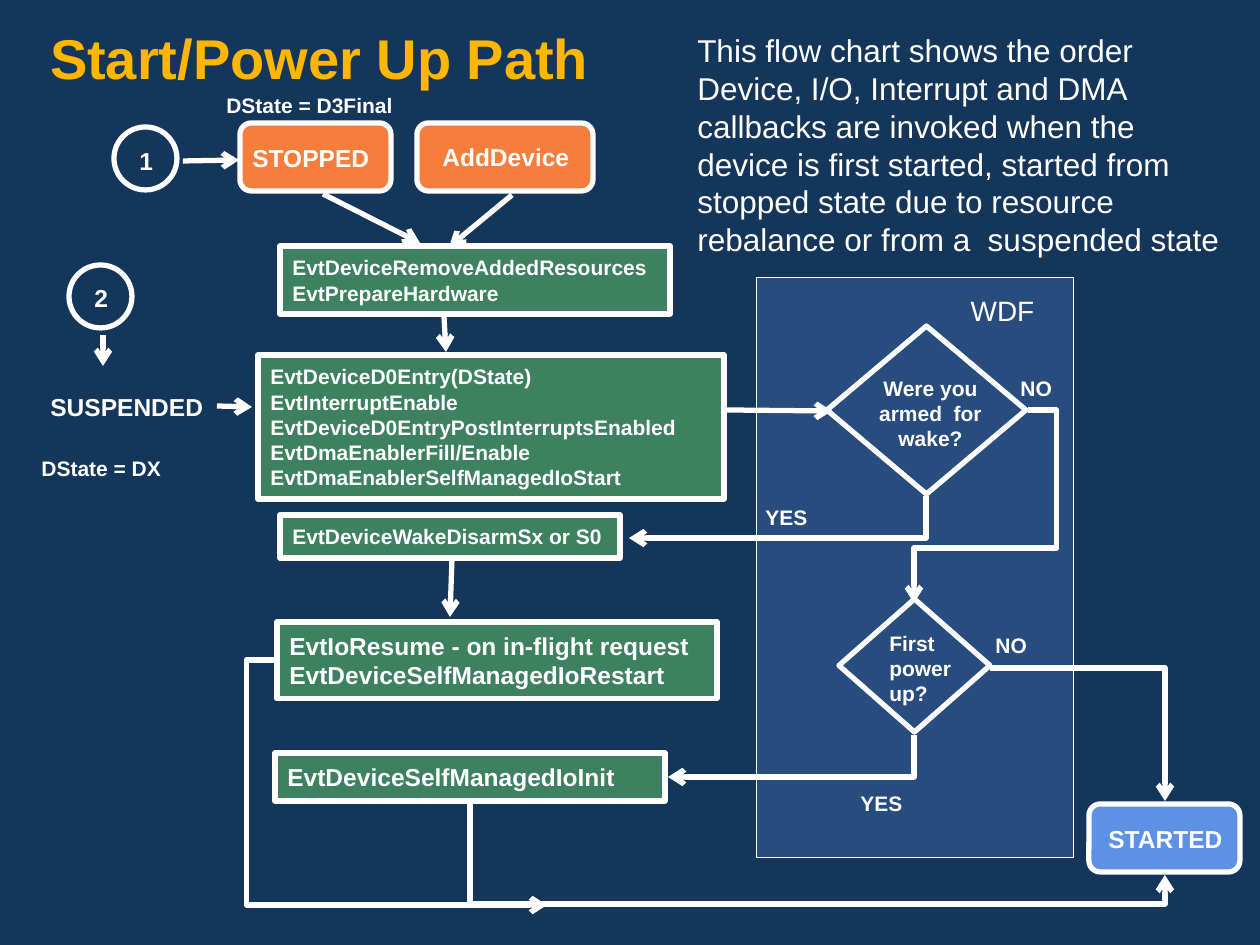
"""Build the Start/Power Up Path flow chart slide."""
import math
import pptx
import pptx.dml.color
import pptx.enum.shapes
import pptx.enum.text
import pptx.oxml
import pptx.oxml.ns
import pptx.util

SCALE = 914400 // 126
COLORS = {
    "navy": "15365B", "gold": "FFB601", "white": "FFFFFF",
    "green": "66CC66", "orange": "F67E3C", "blue": "5E91E4",
}
SHAPE = pptx.enum.shapes.MSO_SHAPE
ALIGN = pptx.enum.text.PP_ALIGN
ANCHOR = pptx.enum.text.MSO_ANCHOR
qn = pptx.oxml.ns.qn


def rgb(name):
    """Return the named colour."""
    return pptx.dml.color.RGBColor.from_string(COLORS[name])


def write(box, text, size, color="white", bold=True, align=ALIGN.LEFT, spacing=None, **frame_format):
    """Fill a text frame and format it."""
    frame = box.text_frame
    frame.text = text
    frame_values = {"word_wrap": True, "auto_size": pptx.enum.text.MSO_AUTO_SIZE.NONE,
                    "vertical_anchor": ANCHOR.TOP} | frame_format
    for name, value in frame_values.items():
        setattr(frame, name, value)
    for para in frame.paragraphs:
        para.alignment = align
        para.line_spacing = spacing
        for span in para.runs:
            for name, value in {"name": "Arial", "size": pptx.util.Pt(size), "bold": bold}.items():
                setattr(span.font, name, value)
            span.font.color.rgb = rgb(color)


deck = pptx.Presentation()
deck.slide_width, deck.slide_height = 1260 * SCALE, 945 * SCALE
page = deck.slides.add_slide(deck.slide_layouts[5])
page.background.fill.solid()
page.background.fill.fore_color.rgb = rgb("navy")

title = page.shapes.title
for name, value in {"left": 0, "top": 0, "width": 1260, "height": 79}.items():
    setattr(title, name, value * SCALE)
write(title, "Start/Power Up Path", 32, "gold", spacing=0.9, margin_left=50 * SCALE,
      margin_right=50 * SCALE, margin_top=31 * SCALE, margin_bottom=6 * SCALE)

blocks = [
    (SHAPE.FLOWCHART_PROCESS, (756, 278, 318, 579), "blue", 25, 0.5, "", 12),
    (SHAPE.RECTANGLE, (280, 246, 390, 68), "green", 50, 3,
     "EvtDeviceRemoveAddedResources\nEvtPrepareHardware", 12),
    (SHAPE.RECTANGLE, (258, 355, 466, 144), "green", 50, 3,
     "EvtDeviceD0Entry(DState)\nEvtInterruptEnable\nEvtDeviceD0EntryPostInterruptsEnabled\n"
     "EvtDmaEnablerFill/Enable\nEvtDmaEnablerSelfManagedIoStart", 12),
    (SHAPE.RECTANGLE, (277, 622, 440, 77), "green", 50, 3,
     "EvtIoResume - on in-flight request\nEvtDeviceSelfManagedIoRestart", 14),
    (SHAPE.RECTANGLE, (280, 515, 340, 43), "green", 50, 3, "EvtDeviceWakeDisarmSx or S0", 12),
    (SHAPE.RECTANGLE, (275, 753, 390, 48), "green", 50, 3, "EvtDeviceSelfManagedIoInit", 14),
    (SHAPE.ROUNDED_RECTANGLE, (240, 123, 151, 68), "orange", 100, 3, "", 14),
    (SHAPE.ROUNDED_RECTANGLE, (417, 123, 176, 68), "orange", 100, 3, "", 14),
    (SHAPE.ROUNDED_RECTANGLE, (1089, 804, 151, 68), "blue", 100, 3, "", 14),
    (SHAPE.FLOWCHART_DECISION, (827, 326, 199, 168), None, 100, 3, "", 12),
    (SHAPE.FLOWCHART_DECISION, (839, 599, 151, 133), None, 100, 3, "", 12),
    (SHAPE.FLOWCHART_CONNECTOR, (114, 127, 63, 63), None, 100, 3, "", 14),
    (SHAPE.FLOWCHART_CONNECTOR, (69, 265, 63, 63), None, 100, 3, "", 14),
]
for kind, place, color, opacity, width, text, size in blocks:
    block = page.shapes.add_shape(kind, *(value * SCALE for value in place))
    block.shadow.inherit = False
    block.line.color.rgb = rgb("white")
    block.line.width = pptx.util.Pt(width)
    if color:
        block.fill.solid()
        block.fill.fore_color.rgb = rgb(color)
    else:
        block.fill.background()
    if opacity < 100:
        fill_color = block._element.spPr.find(qn("a:solidFill"))[0]
        pptx.oxml.xmlchemy.OxmlElement("a:alpha")
        alpha = pptx.oxml.parse_xml(f'<a:alpha {pptx.oxml.ns.nsdecls("a")} val="{opacity * 1000}"/>')
        fill_color.append(alpha)
    if text:
        write(block, text, size, vertical_anchor=ANCHOR.MIDDLE)

labels = [
    ("YES", (753, 498, 67, 38), 12, True, ALIGN.LEFT),
    ("YES", (848, 784, 69, 38), 12, True, ALIGN.LEFT),
    ("NO", (1008, 369, 69, 38), 12, True, ALIGN.LEFT),
    ("NO", (983, 626, 69, 38), 12, True, ALIGN.LEFT),
    ("STOPPED", (240, 137, 176, 42), 14, True, ALIGN.LEFT),
    ("AddDevice", (430, 136, 176, 42), 14, True, ALIGN.LEFT),
    ("STARTED", (1096, 818, 160, 42), 14, True, ALIGN.LEFT),
    ("SUSPENDED", (38, 386, 190, 42), 14, True, ALIGN.LEFT),
    ("Were you armed  for wake?", (852, 369, 157, 88), 12, True, ALIGN.CENTER),
    ("First power up?", (877, 624, 113, 88), 12, True, ALIGN.LEFT),
    ("DState = DX", (29, 449, 220, 38), 12, True, ALIGN.LEFT),
    ("DState = D3Final", (214, 86, 200, 38), 12, True, ALIGN.LEFT),
    ("1", (127, 140, 57, 42), 14, True, ALIGN.LEFT),
    ("2", (82, 277, 57, 42), 14, True, ALIGN.LEFT),
    ("WDF", (956, 287, 93, 47), 16, False, ALIGN.CENTER),
    ("This flow chart shows the order Device, I/O, Interrupt and DMA callbacks are invoked "
     "when the device is first started, started from stopped state due to resource rebalance "
     "or from a  suspended state", (685, 25, 558, 239), 18, False, ALIGN.LEFT),
]
for text, place, size, bold, align in labels:
    label = page.shapes.add_textbox(*(value * SCALE for value in place))
    write(label, text, size, bold=bold, align=align)

arrows = [
    ((323, 194), (420, 243), "line", 0, ()),
    ((512, 195), (449, 247), "line", 0, ()),
    ((444, 316), (446, 352), "line", 0, ()),
    ((726, 410), (832, 411), "line", 0, ()),
    ((452, 559), (450, 617), "line", 0, ()),
    ((217, 406), (252, 407), "line", 0, ()),
    ((183, 161), (239, 160), "line", 0, ()),
    ((103, 335), (103, 366), "line", 0, ()),
    ((926, 496), (629, 538), "bentConnector2", 90, ()),
    ((914, 735), (668, 777), "bentConnector2", 90, ()),
    ((990, 668), (1165, 801), "bentConnector2", 0, ()),
    ((1028, 410), (914, 603), "bentConnector4", 0, (-25300, 71500)),
    ((470, 803), (1165, 875), "bentConnector3", 270, (140500,)),
    ((275, 660), (547, 905), "bentConnector3", 0, (-10600,)),
]
for begin, end, geometry, turn, bends in arrows:
    across, down = end[0] - begin[0], end[1] - begin[1]
    cosine, sine = round(math.cos(math.radians(turn))), round(math.sin(math.radians(turn)))
    reach = (across * cosine + down * sine, down * cosine - across * sine)
    middle = [(a + b) / 2 for a, b in zip(begin, end)]
    corners = [int((m + sign * r / 2) * SCALE) for sign in (-1, 1) for m, r in zip(middle, reach)]
    arrow = page.shapes.add_connector(pptx.enum.shapes.MSO_CONNECTOR.STRAIGHT, *corners)
    arrow.line.color.rgb = rgb("white")
    arrow.line.width = pptx.util.Pt(3)
    outline = arrow._element.spPr
    outline.find(qn("a:xfrm")).set("rot", str(turn * 60000))
    preset = outline.find(qn("a:prstGeom"))
    preset.set("prst", geometry)
    guides = preset.find(qn("a:avLst"))
    for number, bend in enumerate(bends, 1):
        guides.append(pptx.oxml.parse_xml(
            f'<a:gd {pptx.oxml.ns.nsdecls("a")} name="adj{number}" fmla="val {bend}"/>'))
    outline.find(qn("a:ln")).append(pptx.oxml.parse_xml(
        f'<a:tailEnd {pptx.oxml.ns.nsdecls("a")} type="arrow"/>'))
    outline.append(pptx.oxml.parse_xml(f'<a:effectLst {pptx.oxml.ns.nsdecls("a")}/>'))

deck.save("out.pptx")
